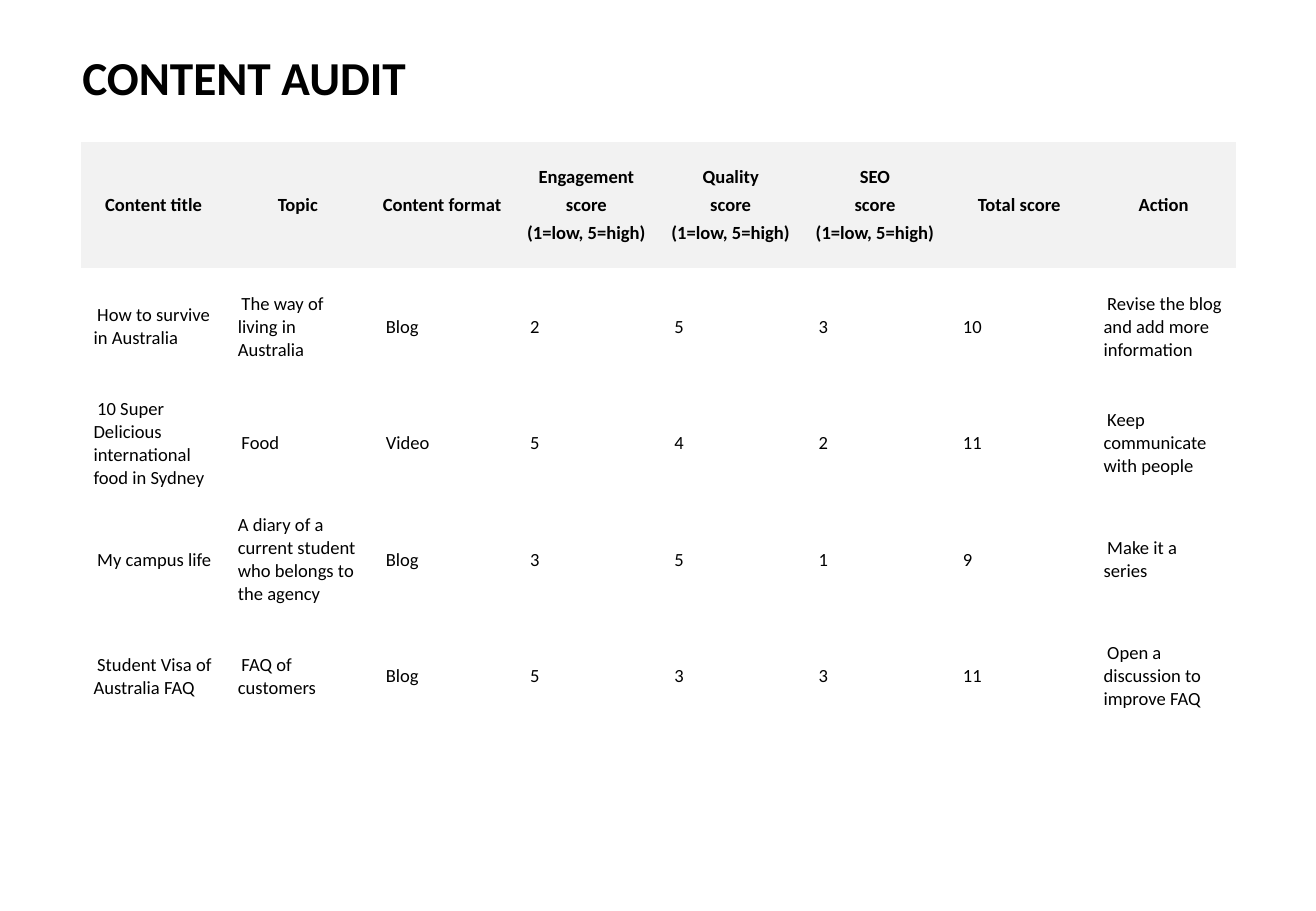
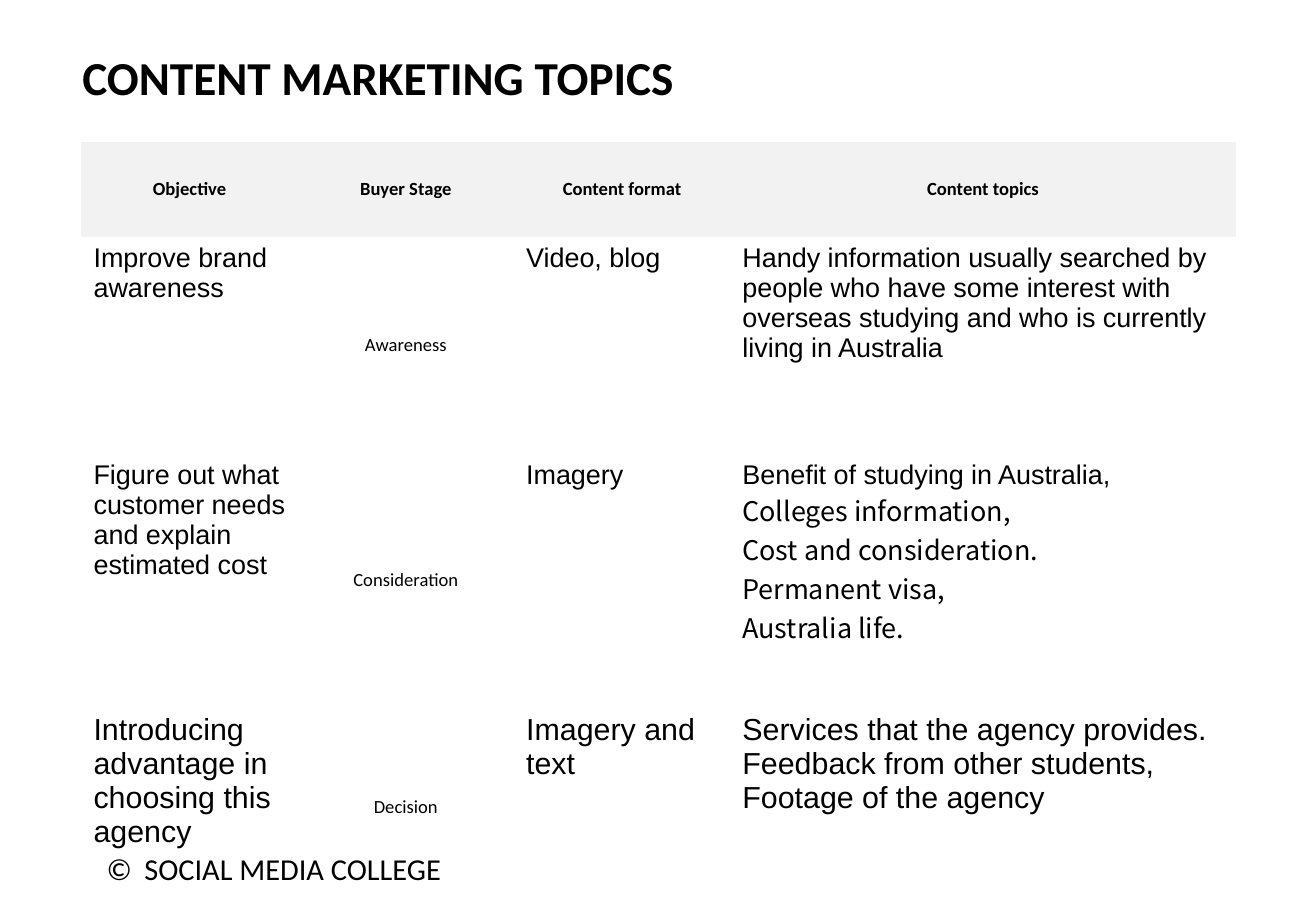
from dataclasses import dataclass, replace

from lxml import etree
from pptx import Presentation
from pptx.dml.color import RGBColor
from pptx.enum import text as enum_text
from pptx.oxml.ns import qn
from pptx.util import Inches, Pt

BLACK, WHITE, HEADER_GREY = "000000", "FFFFFF", "F2F2F2"
CENTER = enum_text.PP_ALIGN.CENTER
LEFT = enum_text.PP_ALIGN.LEFT
MIDDLE = enum_text.MSO_ANCHOR.MIDDLE
TOP = enum_text.MSO_ANCHOR.TOP
NO_GRID_STYLE = "{2D5ABB26-0587-4C30-8999-92F81FD0307C}"
TABLE_LEFT, TABLE_TOP, TABLE_WIDTH = 0.67, 1.17, 9.5


@dataclass(frozen=True)
class Style:
    size: int
    font: str = "Calibri"
    bold: bool = False
    align: enum_text.PP_ALIGN = LEFT
    anchor: enum_text.MSO_ANCHOR = MIDDLE
    space_before: float = 0
    indent: float = 0
    fill: str = WHITE


@dataclass(frozen=True)
class Grid:
    widths: list
    heights: list
    rows: list


TITLE = Style(28, bold=True)
HEADER = Style(11, bold=True, align=CENTER, space_before=2.9, fill=HEADER_GREY)
AUDIT_BODY = Style(11, indent=0.03)
STAGE = Style(11, align=CENTER)
TOPIC_BODY = Style(16, font="Arial", anchor=TOP)
TOPIC_LAST = replace(TOPIC_BODY, size=18)
FOOTER = Style(18, anchor=TOP)

AUDIT = Grid(
    widths=[TABLE_WIDTH / 8] * 8,
    heights=[1.04] + [0.96] * 5,
    rows=[
        ("Content title", "Topic", "Content format",
         "Engagement\nscore\n(1=low, 5=high)", "Quality\nscore\n(1=low, 5=high)",
         "SEO\nscore\n(1=low, 5=high)", "Total score", "Action"),
        ("How to survive in Australia", "The way of living in Australia", "Blog",
         "2", "5", "3", "10", "Revise the blog and add more information"),
        ("10 Super Delicious international food in Sydney", "Food", "Video",
         "5", "4", "2", "11", "Keep communicate with people"),
        ("My campus life", "A diary of a current student who belongs to the agency",
         "Blog", "3", "5", "1", "9", "Make it a series"),
        ("Student Visa of Australia FAQ", "FAQ of customers", "Blog",
         "5", "3", "3", "11", "Open a discussion to improve FAQ"),
        ("",) * 8,
    ],
)
TOPICS = Grid(
    widths=[1.78, 1.78, 1.78, 4.16],
    heights=[0.78, 1.79, 2.08, 1.65],
    rows=[
        ("Objective", "Buyer Stage", "Content format", "Content topics"),
        ("Improve brand awareness", "Awareness", "Video, blog",
         "Handy information usually searched by people who have some interest "
         "with overseas studying and who is currently living in Australia"),
        ("Figure out what customer needs and explain estimated cost",
         "Consideration", "Imagery",
         "Benefit of studying in Australia,\nColleges information,\n"
         "Cost and consideration.\nPermanent visa,\nAustralia life."),
        ("Introducing advantage in choosing this agency", "Decision",
         "Imagery and text",
         "Services that the agency provides.\nFeedback from other students,\n"
         "Footage of the agency"),
    ],
)


def color(value: str) -> RGBColor:
    return RGBColor.from_string(value)


def write(frame, content: str, style: Style, tab: float = 0) -> None:
    """Put one paragraph per line into the frame, all in one style."""
    frame.text = content
    for index, para in enumerate(frame.paragraphs):
        properties = para._p.get_or_add_pPr()
        if style.indent:
            properties.set("indent", str(Inches(style.indent)))
        if tab:
            stops = etree.SubElement(properties, qn("a:tabLst"))
            etree.SubElement(stops, qn("a:tab"), pos=str(Inches(tab)), algn="l")
        para.alignment = style.align
        if index and style.space_before:
            para.space_before = Pt(style.space_before)
        font = para.font
        font.name, font.size, font.bold = style.font, Pt(style.size), style.bold
        font.color.rgb = color(BLACK)


def add_text(page, box: tuple, content: str, style: Style, tab: float = 0) -> None:
    frame = page.shapes.add_textbox(*map(Inches, box)).text_frame
    frame.word_wrap = True
    frame.vertical_anchor = style.anchor
    write(frame, content, style, tab)


def fill_cell(cell, content: str, style: Style) -> None:
    cell.fill.solid()
    cell.fill.fore_color.rgb = color(style.fill)
    cell.vertical_anchor = style.anchor
    if content:
        write(cell.text_frame, content, style)


def add_grid(page, grid: Grid, style_at):
    """Draw the table; style_at(row, column) picks each cell's style."""
    table = page.shapes.add_table(
        len(grid.heights), len(grid.widths), Inches(TABLE_LEFT), Inches(TABLE_TOP),
        Inches(TABLE_WIDTH), Inches(sum(grid.heights))).table
    table.horz_banding = False
    table._tbl.tblPr.find(qn("a:tableStyleId")).text = NO_GRID_STYLE
    for column, width in zip(table.columns, grid.widths):
        column.width = Inches(width)
    for row, height in zip(table.rows, grid.heights):
        row.height = Inches(height)
    for i, contents in enumerate(grid.rows):
        for j, content in enumerate(contents):
            fill_cell(table.cell(i, j), content, style_at(i, j))
    return table


def add_page(deck, title: str):
    page = deck.slides.add_slide(deck.slide_layouts[6])
    add_text(page, (0.58, 0.35, 8.83, 0.57), title, TITLE)
    return page


def audit_style(row: int, column: int) -> Style:
    if row == 0:
        return HEADER
    if (row, column) == (3, 1):
        return replace(AUDIT_BODY, indent=0)
    return AUDIT_BODY


def topic_style(row: int, column: int) -> Style:
    if row == 0:
        return HEADER
    if column == 1:
        return STAGE
    return TOPIC_LAST if row == 3 else TOPIC_BODY


def main() -> None:
    deck = Presentation()
    deck.slide_width, deck.slide_height = Inches(10.83), Inches(7.5)

    add_grid(add_page(deck, "CONTENT AUDIT"), AUDIT, audit_style)

    page = add_page(deck, "CONTENT MARKETING TOPICS")
    table = add_grid(page, TOPICS, topic_style)
    for para in table.cell(2, 3).text_frame.paragraphs[1:]:
        para.font.name = "Noto Sans CJK SC"
    add_text(page, (0.78, 6.95, 8.88, 0.4), "©\tSOCIAL MEDIA COLLEGE", FOOTER, tab=0.31)

    deck.save("out.pptx")


if __name__ == "__main__":
    main()
